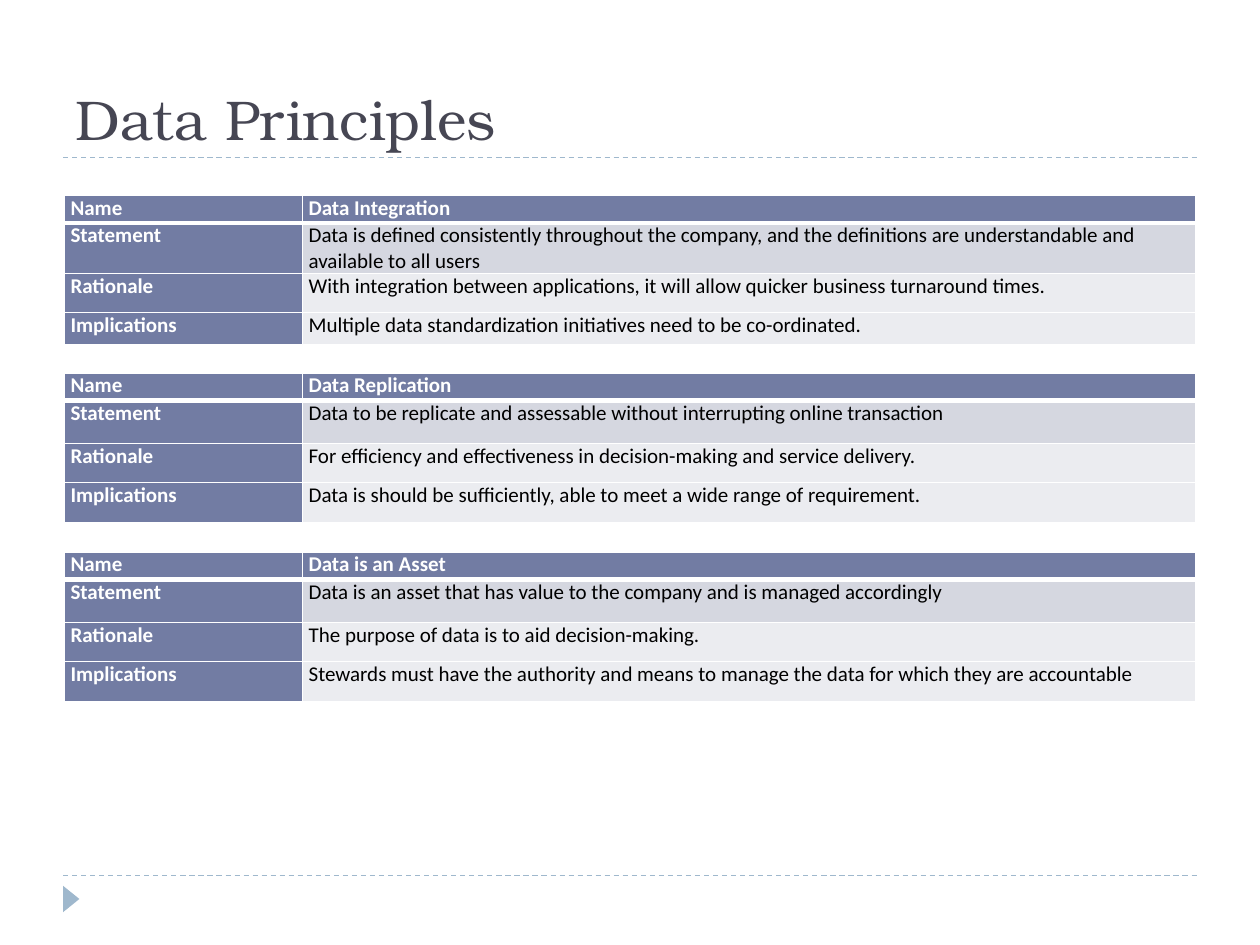
from dataclasses import dataclass

from lxml import etree
from pptx import Presentation
from pptx.dml.color import RGBColor
from pptx.enum.dml import MSO_LINE
from pptx.enum.shapes import MSO_CONNECTOR, MSO_SHAPE
from pptx.enum.text import MSO_ANCHOR
from pptx.oxml.ns import qn
from pptx.util import Inches, Pt

DASH = MSO_LINE.DASH
STRAIGHT = MSO_CONNECTOR.STRAIGHT
TRIANGLE = MSO_SHAPE.ISOSCELES_TRIANGLE
BOTTOM = MSO_ANCHOR.BOTTOM

WHITE, BLACK = "FFFFFF", "000000"
ACCENT, HEADER = "9FB8CD", "727CA3"
FIRST_BAND, OTHER_BAND = "D5D7E0", "EBECF0"
COLUMN_WIDTHS = (1.89, 7.09)
LABELS = ("Name", "Statement", "Rationale", "Implications")
TITLE_FORMAT = {"name": "TeX Gyre Bonum", "size": Pt(32), "bold": False}
CELL_FORMAT = {"name": "Calibri", "size": Pt(12)}
CELL_MARGINS = {
    "margin_left": Inches(0.05),
    "margin_right": Inches(0.05),
    "margin_top": 0,
    "margin_bottom": 0,
}


@dataclass
class Principle:
    top: float
    name: str
    statement: str
    rationale: str
    implications: str
    last_height: float = 0.32


PRINCIPLES = [
    Principle(
        1.55,
        "Data Integration",
        "Data is defined consistently throughout the company, and the definitions "
        "are understandable and available to all users",
        "With integration between applications, it will allow quicker business turnaround times.",
        "Multiple data standardization initiatives need to be co-ordinated.",
        last_height=0.26,
    ),
    Principle(
        2.96,
        "Data Replication",
        "Data to be replicate and assessable without interrupting online transaction",
        "For efficiency and effectiveness in decision-making and service delivery.",
        "Data is should be sufficiently, able to meet a wide range of requirement.",
    ),
    Principle(
        4.38,
        "Data is an Asset",
        "Data is an asset that has value to the company and is managed accordingly",
        "The purpose of data is to aid decision-making.",
        "Stewards must have the authority and means to manage the data "
        "for which they are accountable",
    ),
]


def rgb(color: str) -> RGBColor:
    return RGBColor.from_string(color)


def apply(target, values: dict) -> None:
    for name, value in values.items():
        setattr(target, name, value)


def write(paragraph, text: str, values: dict, color: str) -> None:
    run = paragraph.add_run()
    run.text = text
    apply(run.font, values)
    run.font.color.rgb = rgb(color)


def add_rule(slide, y: float) -> None:
    rule = slide.shapes.add_connector(
        STRAIGHT, Inches(0.5), Inches(y), Inches(9.5), Inches(y)
    )
    rule.line.color.rgb = rgb(ACCENT)
    rule.line.width = Pt(0.75)
    rule.line.dash_style = DASH
    etree.SubElement(rule._element.spPr, qn("a:effectLst"))


def add_marker(slide) -> None:
    marker = slide.shapes.add_shape(
        TRIANGLE, Inches(0.46), Inches(7.07), Inches(0.21), Inches(0.13)
    )
    marker.rotation = 90
    marker.shadow.inherit = False
    marker.fill.solid()
    marker.fill.fore_color.rgb = rgb(ACCENT)
    marker.line.fill.background()


def add_title(slide, text: str) -> None:
    box = slide.shapes.add_textbox(Inches(0.5), Inches(0.17), Inches(9), Inches(1.08))
    frame = box.text_frame
    frame.word_wrap = True
    frame.vertical_anchor = BOTTOM
    write(frame.paragraphs[0], text, TITLE_FORMAT, "464653")


def set_borders(cell, widths: dict[str, float]) -> None:
    properties = cell._tc.get_or_add_tcPr()
    for side, width in widths.items():
        line = etree.SubElement(properties, qn(f"a:ln{side}"), w=str(Pt(width)))
        fill = etree.SubElement(line, qn("a:solidFill"))
        etree.SubElement(fill, qn("a:srgbClr"), val=WHITE)


def fill_cell(cell, text: str, row: int, column: int) -> None:
    is_header = row == 0 or column == 0
    apply(cell, CELL_MARGINS)
    # The rule under the name row is thicker than the others
    set_borders(
        cell, {"L": 1, "R": 1, "T": 3 if row == 1 else 1, "B": 3 if row == 0 else 1}
    )
    band = FIRST_BAND if row == 1 else OTHER_BAND
    cell.fill.solid()
    cell.fill.fore_color.rgb = rgb(HEADER if is_header else band)
    paragraph = cell.text_frame.paragraphs[0]
    paragraph.space_after = Pt(3)
    write(
        paragraph,
        text,
        {**CELL_FORMAT, "bold": is_header},
        WHITE if is_header else BLACK,
    )


def add_principle(slide, principle: Principle) -> None:
    heights = (0.22, 0.34, 0.31, principle.last_height)
    texts = (
        principle.name,
        principle.statement,
        principle.rationale,
        principle.implications,
    )
    table = slide.shapes.add_table(
        len(LABELS),
        len(COLUMN_WIDTHS),
        Inches(0.51),
        Inches(principle.top),
        Inches(sum(COLUMN_WIDTHS)),
        Inches(sum(heights)),
    ).table
    for column, width in zip(table.columns, COLUMN_WIDTHS):
        column.width = Inches(width)
    for row, (height, *row_texts) in enumerate(zip(heights, LABELS, texts)):
        table.rows[row].height = Inches(height)
        for column, text in enumerate(row_texts):
            fill_cell(table.cell(row, column), text, row, column)


def main() -> None:
    presentation = Presentation()
    presentation.slide_width = Inches(10)
    presentation.slide_height = Inches(7.5)
    slide = presentation.slides.add_slide(presentation.slide_layouts[6])

    # Rules and corner marker
    for y in (6.95, 1.25):
        add_rule(slide, y)
    add_marker(slide)

    # Title and one table per principle
    add_title(slide, "Data Principles")
    for principle in PRINCIPLES:
        add_principle(slide, principle)

    presentation.save("out.pptx")


if __name__ == "__main__":
    main()
